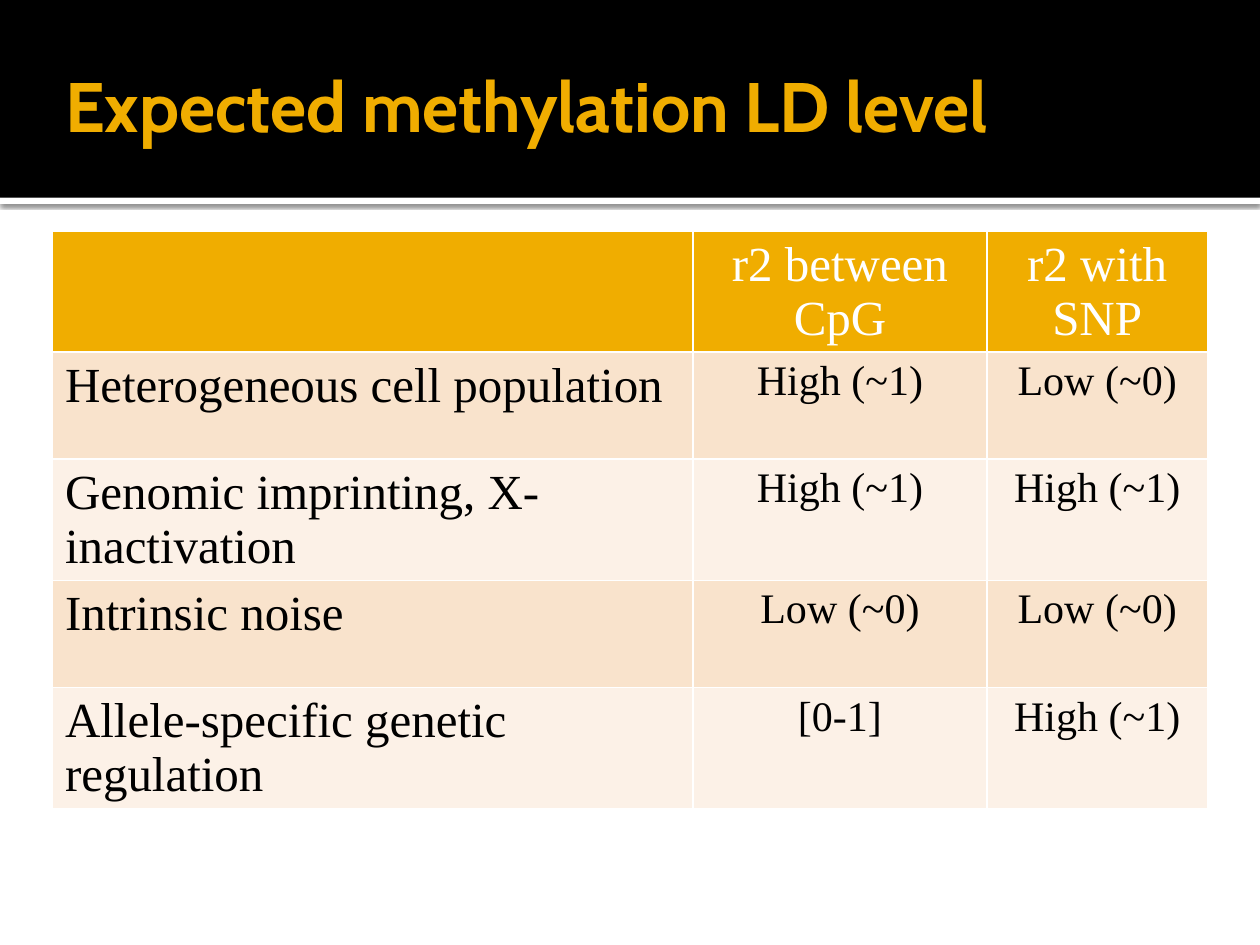
from lxml import etree
from pptx import Presentation
from pptx.dml.color import RGBColor
from pptx.enum.shapes import MSO_SHAPE
from pptx.enum.text import MSO_ANCHOR, PP_ALIGN
from pptx.oxml import parse_xml
from pptx.oxml.ns import nsdecls, qn
from pptx.util import Pt

RECTANGLE = MSO_SHAPE.RECTANGLE
MIDDLE = MSO_ANCHOR.MIDDLE
LEFT, CENTER = PP_ALIGN.LEFT, PP_ALIGN.CENTER

BLACK = RGBColor(0x00, 0x00, 0x00)
WHITE = RGBColor(0xFF, 0xFF, 0xFF)
GOLD = RGBColor(0xF0, 0xAD, 0x00)
PEACH = RGBColor(0xF9, 0xE3, 0xCC)
CREAM = RGBColor(0xFC, 0xF1, 0xE7)

TITLE_FONT = "Cabin"
TABLE_FONT = "Times New Roman"
BAND_HEIGHT = 113
COLUMN_WIDTHS = [366, 168, 126]
ROW_HEIGHT = 61.2
ROWS = [
    ["", "r2 between CpG", "r2 with SNP"],
    ["Heterogeneous cell population", "High (~1)", "Low (~0)"],
    ["Genomic imprinting, X-inactivation", "High (~1)", "High (~1)"],
    ["Intrinsic noise", "Low (~0)", "Low (~0)"],
    ["Allele-specific genetic regulation", "[0-1]", "High (~1)"],
]

prs = Presentation()
prs.slide_width, prs.slide_height = Pt(720), Pt(540)
slide = prs.slides.add_slide(prs.slide_layouts[5])

title = slide.shapes.title
title.left, title.top, title.width, title.height = Pt(30), Pt(24), Pt(648), Pt(72)
title_frame = title.text_frame
title_frame.text = "Expected methylation LD level"
title_frame.vertical_anchor = MIDDLE
title_frame.margin_left = Pt(7.2)
title_frame.margin_right = title_frame.margin_top = title_frame.margin_bottom = Pt(3.6)
heading = title_frame.paragraphs[0]
heading.alignment = LEFT
heading.font.name = TITLE_FONT
heading.font.size = Pt(40)
heading.font.bold = True
heading.font.color.rgb = GOLD

bands = []
for top, height, color in [(BAND_HEIGHT, 3.6, WHITE), (0, BAND_HEIGHT, BLACK)]:
    band = slide.shapes.add_shape(RECTANGLE, 0, Pt(top), prs.slide_width, Pt(height))
    band.shadow.inherit = False
    band.fill.solid()
    band.fill.fore_color.rgb = color
    band.line.fill.background()
    title._element.addprevious(band._element)
    bands.append(band)

divider_effects = bands[0]._element.spPr.find(qn("a:effectLst"))
divider_effects.append(parse_xml(
    f'<a:outerShdw {nsdecls("a")} blurRad="{Pt(2.5)}" dist="{Pt(0.8)}" dir="5400000">'
    '<a:srgbClr val="000000"><a:alpha val="60000"/></a:srgbClr></a:outerShdw>'))

table = slide.shapes.add_table(
    len(ROWS), len(COLUMN_WIDTHS), Pt(30), Pt(132),
    Pt(sum(COLUMN_WIDTHS)), Pt(ROW_HEIGHT * len(ROWS))).table
table.first_row = table.horz_banding = False
for column, width in zip(table.columns, COLUMN_WIDTHS):
    column.width = Pt(width)

for r, row in enumerate(ROWS):
    table.rows[r].height = Pt(ROW_HEIGHT)
    row_color = GOLD if r == 0 else PEACH if r % 2 else CREAM
    for c, text in enumerate(row):
        cell = table.cell(r, c)
        properties = cell._tc.get_or_add_tcPr()
        for side in ("lnL", "lnR", "lnT", "lnB"):
            border = etree.SubElement(properties, qn(f"a:{side}"), w=str(Pt(1)))
            border_fill = etree.SubElement(border, qn("a:solidFill"))
            etree.SubElement(border_fill, qn("a:srgbClr"), val=str(WHITE))
        cell.fill.solid()
        cell.fill.fore_color.rgb = row_color
        cell.text = text
        entry = cell.text_frame.paragraphs[0]
        entry.alignment = CENTER if c else LEFT
        entry.font.name = TABLE_FONT
        entry.font.size = Pt(24 if r and c else 28)
        entry.font.color.rgb = BLACK if r else WHITE

prs.save("out.pptx")
